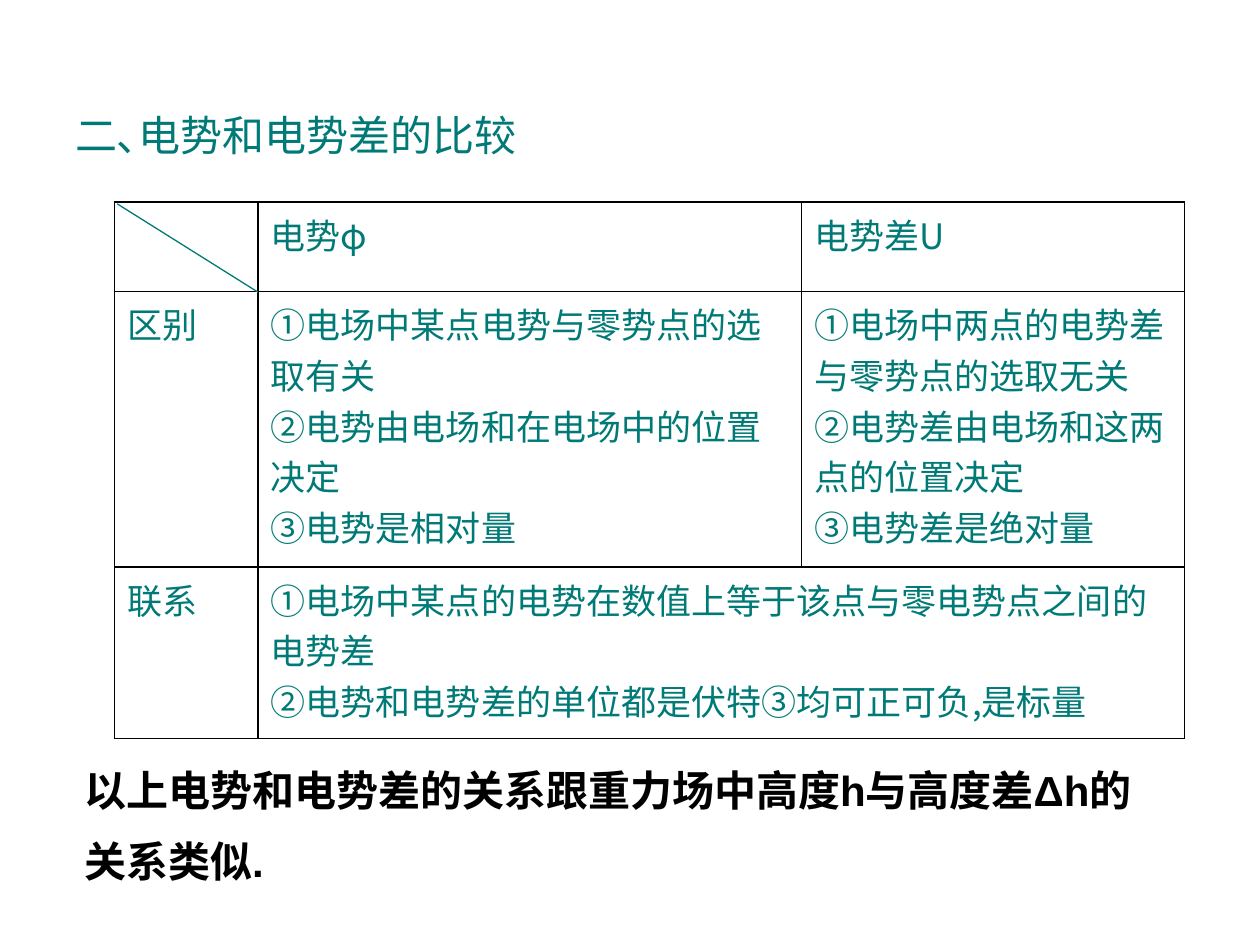
from lxml.etree import SubElement as Sub
from pptx import Presentation
from pptx.dml.color import RGBColor
from pptx.enum.shapes import MSO_CONNECTOR as Conn
from pptx.oxml.ns import qn
from pptx.util import Pt

TEAL = RGBColor(0x00, 0x7A, 0x77)
BLACK = RGBColor(0, 0, 0)
LATIN, HAN = "Arial", "Noto Sans CJK SC"


class Board:
    """Style and current slide, with one method per kind of element."""

    def __init__(self, slide):
        self.slide = slide
        self.head, self.body = 24, 20

    def style(self, para, size, color, face, bold=False):
        for run in para.runs:
            font = run.font
            font.size, font.bold, font.name = Pt(size), bold, face
            font.color.rgb = color
            Sub(run._r.get_or_add_rPr(), qn("a:ea"), typeface=HAN)

    def text(self, words, x, y, w, h, color, bold=False):
        box = self.slide.shapes.add_textbox(Pt(x), Pt(y), Pt(w), Pt(h))
        frame = box.text_frame
        frame.word_wrap = True
        frame.text = words
        para = frame.paragraphs[0]
        para.line_spacing = 1.4
        self.style(para, self.head, color, LATIN, bold)

    def border(self, cell):
        props = cell._tc.get_or_add_tcPr()
        for side in ("lnL", "lnR", "lnT", "lnB"):
            line = Sub(props, qn("a:" + side), w=str(Pt(1)))
            fill = Sub(line, qn("a:solidFill"))
            Sub(fill, qn("a:srgbClr"), val=str(BLACK))

    def table(self, rows, x, y, wide, high, merge):
        grid = self.slide.shapes.add_table(
            len(high), len(wide), Pt(x), Pt(y), Pt(sum(wide)), Pt(sum(high))).table
        grid.first_row = grid.horz_banding = False
        for col, w in zip(grid.columns, wide):
            col.width = Pt(w)
        for row, h in zip(grid.rows, high):
            row.height = Pt(h)
        first, last = merge
        grid.cell(*first).merge(grid.cell(*last))
        for r, row in enumerate(rows):
            for c, words in enumerate(row):
                cell = grid.cell(r, c)
                self.border(cell)
                cell.fill.background()
                cell.text_frame.text = words
                for para in cell.text_frame.paragraphs:
                    self.style(para, self.body, TEAL, HAN)

    def line(self, x1, y1, x2, y2):
        line = self.slide.shapes.add_connector(
            Conn.STRAIGHT, Pt(x1), Pt(y1), Pt(x2), Pt(y2))
        line.line.color.rgb = TEAL
        line.line.width = Pt(0.75)
        Sub(line._element.spPr, qn("a:effectLst"))


ROWS = [
    ["", "电势φ", "电势差U"],
    ["区别",
     "①电场中某点电势与零势点的选取有关\n"
     "②电势由电场和在电场中的位置决定\n"
     "③电势是相对量",
     "①电场中两点的电势差与零势点的选取无关\n"
     "②电势差由电场和这两点的位置决定\n"
     "③电势差是绝对量"],
    ["联系",
     "①电场中某点的电势在数值上等于该点与零电势点之间的电势差\n"
     "②电势和电势差的单位都是伏特③均可正可负,是标量",
     ""],
]


def main():
    deck = Presentation()
    deck.slide_width, deck.slide_height = Pt(720), Pt(540)
    board = Board(deck.slides.add_slide(deck.slide_layouts[6]))

    # Heading
    board.text("二､电势和电势差的比较", 36, 47.5, 648, 457, TEAL)

    # Comparison table with a split corner cell
    board.table(ROWS, 65.5, 115.5, [82, 310.5, 219], [51, 157.5, 98],
                merge=((2, 1), (2, 2)))
    board.line(67, 116.5, 147.5, 167)

    # Closing remark
    board.text("以上电势和电势差的关系跟重力场中高度h与高度差Δh的关系类似.",
               41, 422, 626.5, 88, BLACK, bold=True)

    deck.save("out.pptx")


if __name__ == "__main__":
    main()
